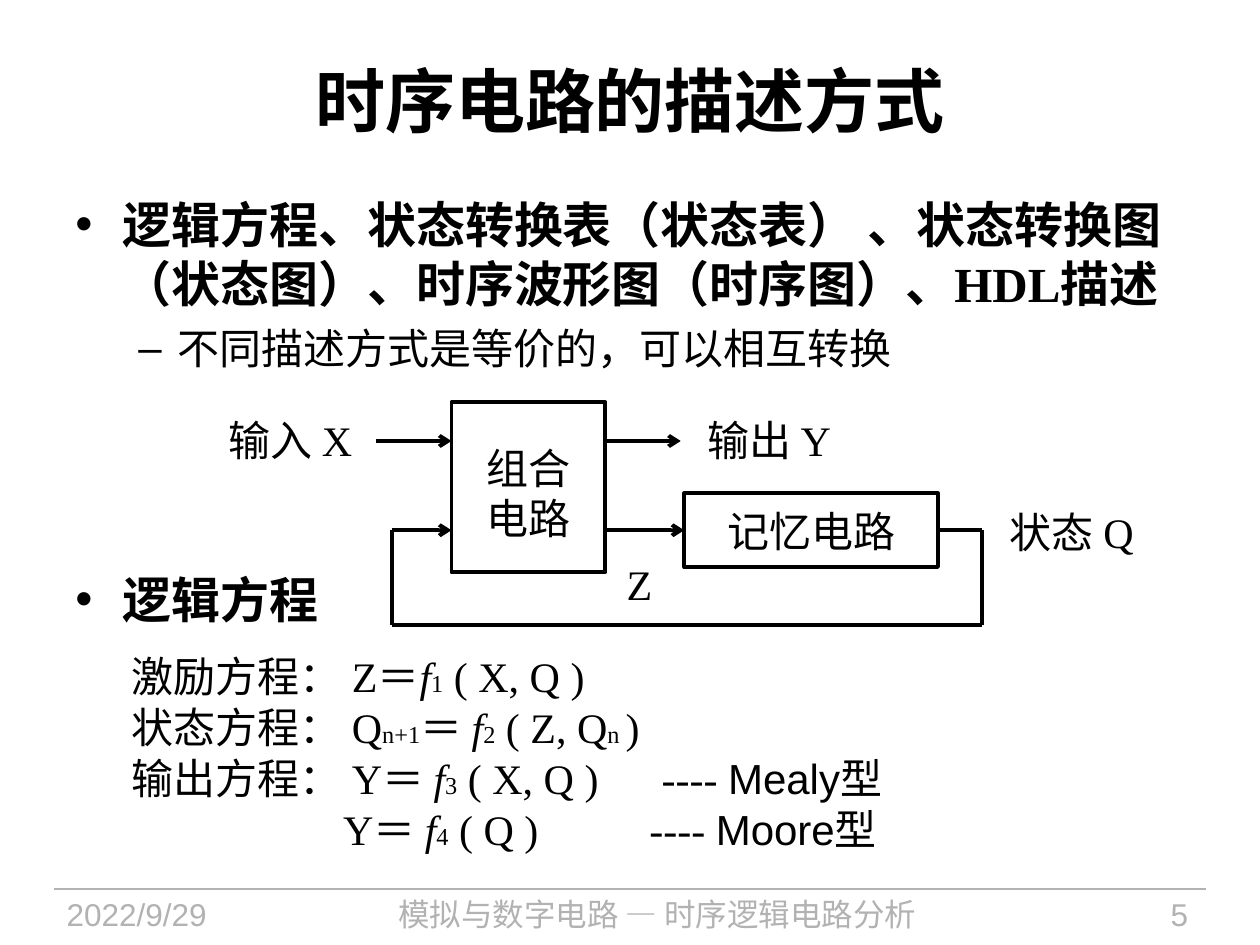
from lxml import etree
from pptx import Presentation
from pptx.dml.color import RGBColor
from pptx.enum import shapes as es, text as et
from pptx.oxml import ns
from pptx.util import Pt

HUES = {"ink": "000000", "grey": "B2B2B2"}
ROMAN, SANS, CJK = "Times New Roman", "Arial", "Noto Sans CJK SC"
ALIGN = {"l": et.PP_ALIGN.LEFT, "c": et.PP_ALIGN.CENTER, "r": et.PP_ALIGN.RIGHT}
SUB, SUP, ITAL = {"base": -25}, {"base": 30}, {"ital": True}


def hue(key):
    return RGBColor.from_string(HUES[key])


def node(up, tag, **attrs):
    """Add a drawing element below another one."""
    kid = etree.SubElement(up, ns.qn("a:" + tag))
    for key, val in attrs.items():
        kid.set(key, str(val))
    return kid


def style(run, size=24, font=ROMAN, bold=False, ital=False, color="ink", base=0):
    face = run.font
    face.size, face.name, face.bold, face.italic = Pt(size), font, bold, ital
    face.color.rgb = hue(color)
    props = run._r.get_or_add_rPr()
    node(props, "ea", typeface=CJK)
    if base:
        props.set("baseline", str(base))


def para(frame, row, first, align="l", line=None, before=0,
         bullet=None, left=0, hang=0, tabs=(), **face):
    """Write one row: a string, or a list of (text, format) runs."""
    par = frame.paragraphs[0] if first else frame.add_paragraph()
    par.alignment = ALIGN[align]
    par.space_before = Pt(before)
    if line:
        par.line_spacing = Pt(line)
    props = par._p.get_or_add_pPr()
    if bullet:
        props.set("marL", str(Pt(left)))
        props.set("indent", str(Pt(-hang)))
        node(props, "buFont", typeface=SANS)
        node(props, "buChar", char=bullet)
    if tabs:
        stops = node(props, "tabLst")
        for stop in tabs:
            node(stops, "tab", pos=Pt(stop), algn="l")
    for words, extra in ([(row, {})] if isinstance(row, str) else row):
        run = par.add_run()
        run.text = words
        style(run, **{**face, **extra})


def write(host, rows, mid=False, wrap=True, pad=(7.2, 3.6), drop=0, **fmt):
    """Fill a shape; a row may be (content, format) to vary its format."""
    frame = host.text_frame
    frame.word_wrap = wrap
    frame.vertical_anchor = et.MSO_ANCHOR.MIDDLE if mid else et.MSO_ANCHOR.TOP
    frame.margin_left = frame.margin_right = Pt(pad[0])
    frame.margin_top, frame.margin_bottom = Pt(pad[1] + drop), Pt(pad[1])
    for num, row in enumerate(rows):
        words, extra = row if isinstance(row, tuple) else (row, {})
        para(frame, words, num == 0, **{**fmt, **extra})


def label(slide, box, rows, **fmt):
    write(slide.shapes.add_textbox(*map(Pt, box)), rows, **fmt)


def block(slide, box, rows, **fmt):
    rect = slide.shapes.add_shape(es.MSO_SHAPE.RECTANGLE, *map(Pt, box))
    rect.shadow.inherit = False
    rect.fill.background()
    rect.line.color.rgb, rect.line.width = hue("ink"), Pt(2.25)
    write(rect, rows, mid=True, wrap=False, pad=(0, 0), align="c", font=SANS, **fmt)
    return rect


def wire(slide, start, end, arrow=False, color="ink", width=2.25):
    link = slide.shapes.add_connector(
        es.MSO_CONNECTOR.STRAIGHT, *map(Pt, (*start, *end)))
    link.line.color.rgb, link.line.width = hue(color), Pt(width)
    if arrow:
        node(link.line._get_or_add_ln(), "tailEnd", type="arrow")
    node(link._element.spPr, "effectLst")
    return link


def footer(slide, x, y, w, h):
    wire(slide, (x, y), (x + w, y), color="grey", width=0.75)
    parts = ((0, 135, "2022/9/29", "l", SANS),
             (142, 405, "模拟与数字电路 — 时序逻辑电路分析", "c", CJK),
             (560, 95, "5", "r", SANS))
    for dx, wide, words, align, font in parts:
        label(slide, (x + dx, y, wide, h), [words],
              align=align, font=font, size=18, color="grey")


def points(slide, x, y, w, h):
    head = dict(bullet="•", left=27, hang=27, size=28, bold=True, line=33.6)
    label(slide, (x, y, w, h), [
        ("逻辑方程、状态转换表（状态表） 、状态转换图"
         "（状态图）、时序波形图（时序图）、HDL描述", head),
        ("不同描述方式是等价的，可以相互转换",
         dict(bullet="–", left=58.5, hang=22.5, line=29, before=6)),
        ("逻辑方程", {**head, "before": 112}),
    ])


def circuit(slide, x, y):
    # Blocks
    logic = block(slide, (x + 139, y, 88, 97), ["组合", "电路"], line=29, drop=6)
    store = block(slide, (x + 272, y + 52, 145, 42), ["记忆电路"])

    # Wires between the blocks and to the outside
    top, low, base = y + 22, y + 73, y + 127
    back, turn = x + 105, x + 442
    wire(slide, (x + 96, top), (x + 139, top), arrow=True)
    wire(slide, (x + 227, top), (x + 270, top), arrow=True)
    feed = wire(slide, (x + 227, low), (x + 272, low), arrow=True)
    feed.end_connect(store, 1)

    # Feedback loop
    out = wire(slide, (x + 417, low), (turn, low))
    out.begin_connect(store, 3)
    wire(slide, (turn, low), (turn, base))
    wire(slide, (turn, base), (back, base))
    wire(slide, (back, base), (back, low))
    wire(slide, (back, low), (x + 139, low), arrow=True)

    # Signal names
    for dx, dy, wide, words in ((0, -8, 94, "输入 X"), (275, -8, 91, "输出 Y"),
                                (448, 45, 91, "状态 Q")):
        label(slide, (x + dx, y + dy, wide, 58), [words],
              mid=True, wrap=False, pad=(0, 0), align="c")
    label(slide, (x + 232, y + 85.5, 29, 36), ["Z"], wrap=False)


def sums(slide, x, y, w, h):
    def func(num, args):
        return [("f", ITAL), (num, SUB), *args]

    inputs = [(" ( X, Q )", {})]
    state = [(" ( Z, Q", {}), ("n ", SUP), (")", {})]
    label(slide, (x, y, w, h), [
        ([("激励方程：\tZ＝", {}), *func("1", inputs)], {"tabs": [126]}),
        ([("状态方程：\tQ", {}), ("n+1", SUP), ("＝ ", {}), *func("2", state)],
         {"tabs": [126]}),
        ([("输出方程：\tY＝ ", {}), *func("3", inputs), ("\t---- ", {}),
          ("Mealy型", {"font": SANS})], {"tabs": [126, 303]}),
        ([("\tY＝ ", {}), *func("4", [(" ( Q )", {})]), ("\t---- ", {}),
          ("Moore型", {"font": SANS})], {"tabs": [121, 296]}),
    ], before=0.3)


def main():
    deck = Presentation()
    deck.slide_width, deck.slide_height = Pt(720), Pt(540)
    slide = deck.slides.add_slide(deck.slide_layouts[6])
    footer(slide, 31, 508, 658, 32)
    label(slide, (36, 12, 648, 90), ["时序电路的描述方式"],
          mid=True, align="c", size=40, bold=True)
    points(slide, 36, 107.5, 648, 260)
    circuit(slide, 119, 230)
    sums(slide, 68, 368, 570, 148)
    deck.save("out.pptx")


if __name__ == "__main__":
    main()
